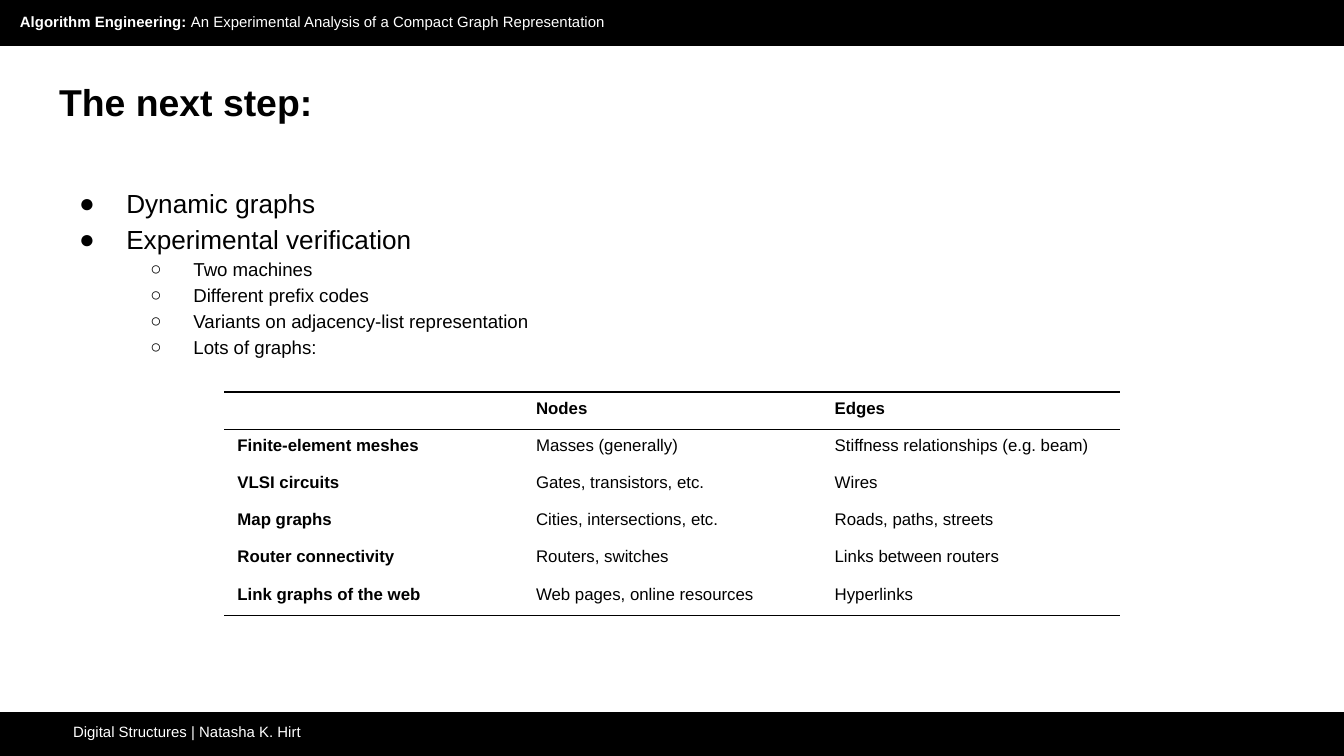
from dataclasses import dataclass

from pptx import Presentation
from pptx import util as u
from pptx.dml.color import RGBColor
from pptx.enum import shapes, text
from pptx.oxml import ns
from lxml import etree


@dataclass(frozen=True)
class Theme:
    font: str = "Arial"
    ink: str = "000000"
    paper: str = "FFFFFF"
    title: int = 20
    bullet: int = 14
    sub_bullet: int = 10
    table: int = 9
    small: int = 8
    bar_line: float = 0.75
    rule: int = 1
    plain_table: str = "{2D5ABB26-0587-4C30-8999-92F81FD0307C}"


class SlideBuilder:
    """Draws styled elements on a slide divided into 100 columns of square cells."""

    def __init__(self, presentation, theme):
        self.theme = theme
        self.cell = presentation.slide_width / 100
        self.slide = presentation.slides.add_slide(presentation.slide_layouts[6])
        self.slide.background.fill.solid()
        self.slide.background.fill.fore_color.rgb = RGBColor.from_string(theme.paper)

    def box(self, *grid):
        return [round(value * self.cell) for value in grid]

    def run(self, paragraph, content, size, bold=False, color=None):
        run = paragraph.add_run()
        run.text = content
        run.font.name = self.theme.font
        run.font.size = u.Pt(size)
        run.font.bold = bold
        run.font.color.rgb = RGBColor.from_string(color or self.theme.ink)

    def bar(self, top, height):
        shape = self.slide.shapes.add_shape(
            shapes.MSO_SHAPE.RECTANGLE, *self.box(0, top, 100, height))
        shape.shadow.inherit = False
        ink = RGBColor.from_string(self.theme.ink)
        shape.fill.solid()
        shape.fill.fore_color.rgb = ink
        shape.line.color.rgb = ink
        shape.line.width = u.Pt(self.theme.bar_line)

    def frame(self, grid, grow=False):
        frame = self.slide.shapes.add_textbox(*self.box(*grid)).text_frame
        frame.word_wrap = True
        frame.margin_left = frame.margin_right = u.Inches(0.1)
        frame.margin_top = frame.margin_bottom = u.Inches(0.1)
        fit = text.MSO_AUTO_SIZE
        frame.auto_size = fit.SHAPE_TO_FIT_TEXT if grow else fit.NONE
        return frame

    def label(self, grid, runs, size, color=None, grow=False):
        paragraph = self.frame(grid, grow).paragraphs[0]
        for content, bold in runs:
            self.run(paragraph, content, size, bold, color)

    def bullets(self, grid, items):
        frame = self.frame(grid)
        levels = (("●", 5, -3.5, self.theme.bullet), ("○", 10, -3.2, self.theme.sub_bullet))
        for index, (level, content) in enumerate(items):
            paragraph = frame.add_paragraph() if index else frame.paragraphs[0]
            mark, margin, indent, size = levels[level]
            paragraph.level = level
            paragraph.line_spacing = 1.15
            properties = paragraph._p.get_or_add_pPr()
            for name, value in zip(("marL", "indent"), self.box(margin, indent)):
                properties.set(name, str(value))
            color = etree.SubElement(properties, ns.qn("a:buClr"))
            etree.SubElement(color, ns.qn("a:srgbClr"), val=self.theme.ink)
            etree.SubElement(properties, ns.qn("a:buFont"), typeface=self.theme.font)
            etree.SubElement(properties, ns.qn("a:buChar"), char=mark)
            self.run(paragraph, content, size)

    def border(self, cell, side):
        line = etree.SubElement(cell._tc.get_or_add_tcPr(), ns.qn(f"a:ln{side}"),
                                w=str(u.Pt(self.theme.rule)))
        fill = etree.SubElement(line, ns.qn("a:solidFill"))
        etree.SubElement(fill, ns.qn("a:srgbClr"), val=self.theme.ink)

    def table(self, grid, rows):
        shape = self.slide.shapes.add_table(len(rows), len(rows[0]), *self.box(*grid))
        table = shape.table
        table.first_row = table.horz_banding = False
        table._tbl.tblPr.find(ns.qn("a:tableStyleId")).text = self.theme.plain_table
        for row, contents in enumerate(rows):
            for column, content in enumerate(contents):
                cell = table.cell(row, column)
                paragraph = cell.text_frame.paragraphs[0]
                if content:
                    self.run(paragraph, content, self.theme.table, row == 0 or column == 0)
                else:
                    etree.SubElement(paragraph._p, ns.qn("a:endParaRPr"),
                                     sz=str(self.theme.table * 100))
                if row == 0:
                    self.border(cell, "T")
                if row in (0, len(rows) - 1):
                    self.border(cell, "B")
                cell.fill.background()


def main():
    presentation = Presentation()
    presentation.slide_width = u.Inches(10)
    presentation.slide_height = presentation.slide_width * 9 // 16
    theme = Theme()
    builder = SlideBuilder(presentation, theme)

    for top in (53, 0):
        builder.bar(top, 3.4)
    builder.label((4.45, 53.1, 42.8, 3.4), [("Digital Structures | Natasha K. Hirt", False)],
                  theme.small, theme.paper, grow=True)
    builder.label((0.5, 0.3, 76.8, 6.1),
                  [("Algorithm Engineering: ", True),
                   ("An Experimental Analysis of a Compact Graph Representation", False)],
                  theme.small, theme.paper, grow=True)
    builder.label((3.41, 4.9, 93.2, 6.3), [("The next step:", True)], theme.title)
    builder.bullets((3.41, 12.6, 93.2, 37.4), [
        (0, "Dynamic graphs"),
        (0, "Experimental verification"),
        (1, "Two machines"),
        (1, "Different prefix codes"),
        (1, "Variants on adjacency-list representation"),
        (1, "Lots of graphs:"),
    ])
    builder.table((16.67, 29.18, 66.66, 16.62), [
        ("", "Nodes", "Edges"),
        ("Finite-element meshes", "Masses (generally)", "Stiffness relationships (e.g. beam)"),
        ("VLSI circuits", "Gates, transistors, etc.", "Wires"),
        ("Map graphs", "Cities, intersections, etc.", "Roads, paths, streets"),
        ("Router connectivity", "Routers, switches", "Links between routers"),
        ("Link graphs of the web", "Web pages, online resources", "Hyperlinks"),
    ])
    presentation.save("out.pptx")


if __name__ == "__main__":
    main()
